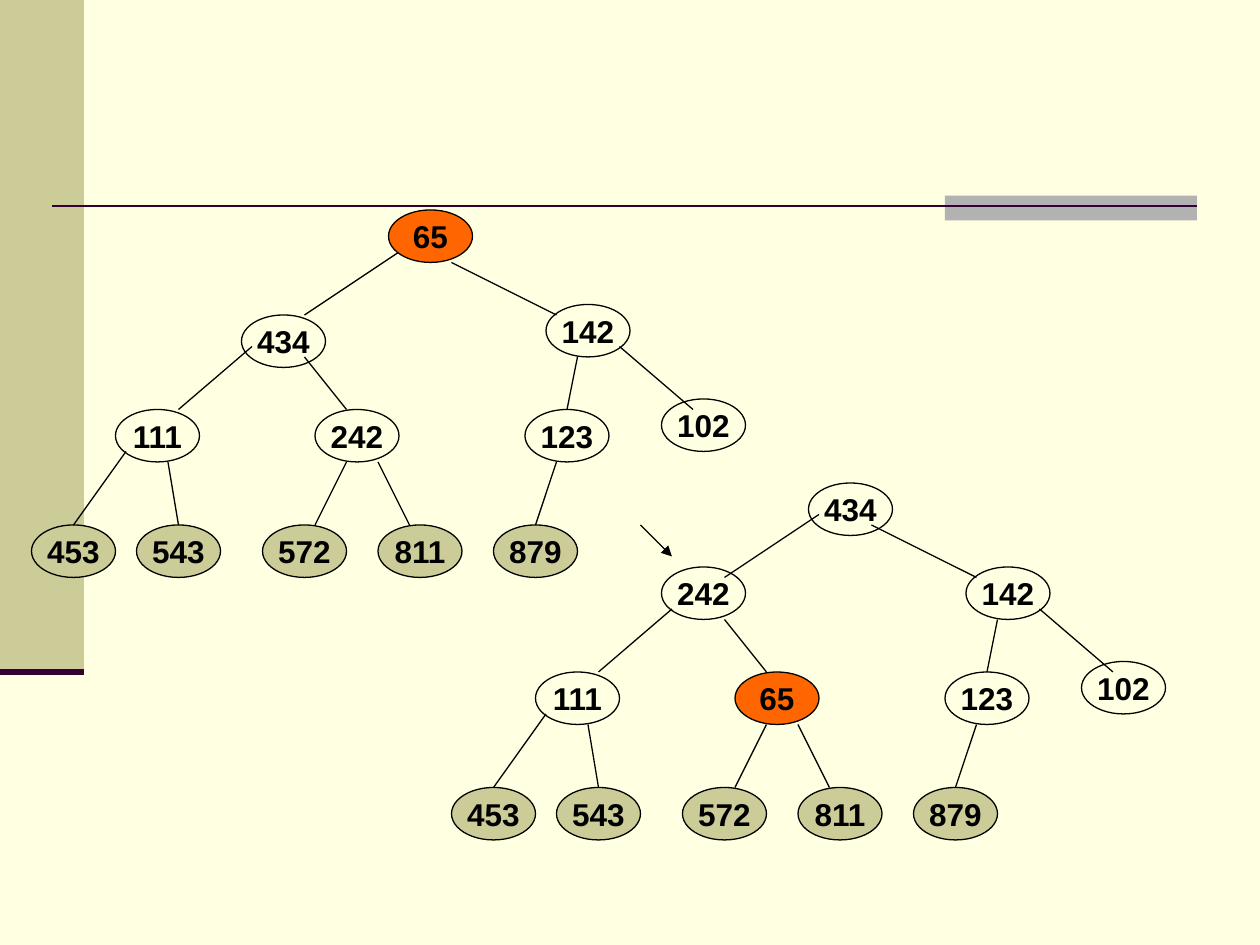
from pptx import Presentation
from pptx.dml.color import RGBColor
from pptx.enum.shapes import MSO_CONNECTOR, MSO_SHAPE
from pptx.enum.text import MSO_ANCHOR, PP_ALIGN
from pptx.oxml.ns import qn
from pptx.util import Pt
from lxml import etree

PX = 9525
RECT, OVAL = MSO_SHAPE.RECTANGLE, MSO_SHAPE.OVAL
STRAIGHT = MSO_CONNECTOR.STRAIGHT
MIDDLE, CENTER = MSO_ANCHOR.MIDDLE, PP_ALIGN.CENTER

CREAM = RGBColor(0xFF, 0xFF, 0xE1)
KHAKI = RGBColor(0xCC, 0xCC, 0x99)
GRAY = RGBColor(0xB2, 0xB2, 0xB2)
PLUM = RGBColor(0x33, 0x00, 0x33)
ORANGE = RGBColor(0xFF, 0x66, 0x00)
BLACK = RGBColor(0x00, 0x00, 0x00)

NODE_W, NODE_H = 64, 40
LEAF_Y = 400

prs = Presentation()
prs.slide_width, prs.slide_height = 960 * PX, 720 * PX
s = prs.slides.add_slide(prs.slide_layouts[6])
s.background.fill.solid()
s.background.fill.fore_color.rgb = CREAM


def add_line(x1, y1, x2, y2, color=BLACK, width=0.75):
    cx = s.shapes.add_connector(STRAIGHT, x1 * PX, y1 * PX, x2 * PX, y2 * PX)
    cx.line.color.rgb = color
    cx.line.width = Pt(width)
    etree.SubElement(cx._element.spPr, qn("a:effectLst"))
    return cx


def add_block(kind, x, y, w, h, fill):
    sp = s.shapes.add_shape(kind, x * PX, y * PX, w * PX, h * PX)
    sp.shadow.inherit = False
    sp.fill.solid()
    sp.fill.fore_color.rgb = fill
    sp.line.fill.background()
    return sp


add_block(RECT, 0, 0, 64, 512, KHAKI)
add_block(RECT, 720, 149, 192, 19, GRAY)
add_line(40, 157, 912, 157, PLUM, 1.5)
add_line(0, 512, 64, 512, PLUM, 3.5)

edges = [
    (304, 192, 232, 240), (344, 200, 424, 240),
    (192, 264, 136, 312), (232, 272, 264, 312),
    (440, 272, 432, 312), (472, 264, 528, 312),
    (96, 344, 56, 400), (128, 352, 136, 400),
    (264, 352, 240, 400), (288, 352, 312, 400),
    (424, 352, 408, 400),
]
shared_nodes = [
    ("142", 416, 232), ("111", 88, 312), ("123", 400, 312), ("102", 504, 304),
    ("453", 24, LEAF_Y), ("543", 104, LEAF_Y), ("572", 200, LEAF_Y),
    ("811", 288, LEAF_Y), ("879", 376, LEAF_Y),
]
trees = [
    (0, 0, [("434", 184, 240), ("242", 240, 312)], ("65", 296, 160)),
    (320, 200, [("434", 296, 168), ("242", 184, 232)], ("65", 240, 312)),
]

for dx, dy, moved_nodes, sifted_node in trees:
    for node in shared_nodes + moved_nodes + [sifted_node]:
        label, x, y = node
        fill = KHAKI if y == LEAF_Y else CREAM
        if node == sifted_node:
            fill = ORANGE
            for x1, y1, x2, y2 in edges:
                add_line(x1 + dx, y1 + dy, x2 + dx, y2 + dy)
        sp = add_block(OVAL, x + dx, y + dy, NODE_W, NODE_H, fill)
        sp.line.color.rgb = BLACK
        sp.line.width = Pt(0.75)
        tf = sp.text_frame
        tf.text = label
        tf.word_wrap = False
        tf.vertical_anchor = MIDDLE
        p = tf.paragraphs[0]
        p.alignment = CENTER
        r = p.runs[0]
        r.font.name = "Arial"
        r.font.size = Pt(18)
        r.font.bold = True
        r.font.color.rgb = BLACK

arrow = add_line(488, 400, 512, 424)
etree.SubElement(arrow.line._get_or_add_ln(), qn("a:tailEnd"), type="triangle")

prs.save("out.pptx")
